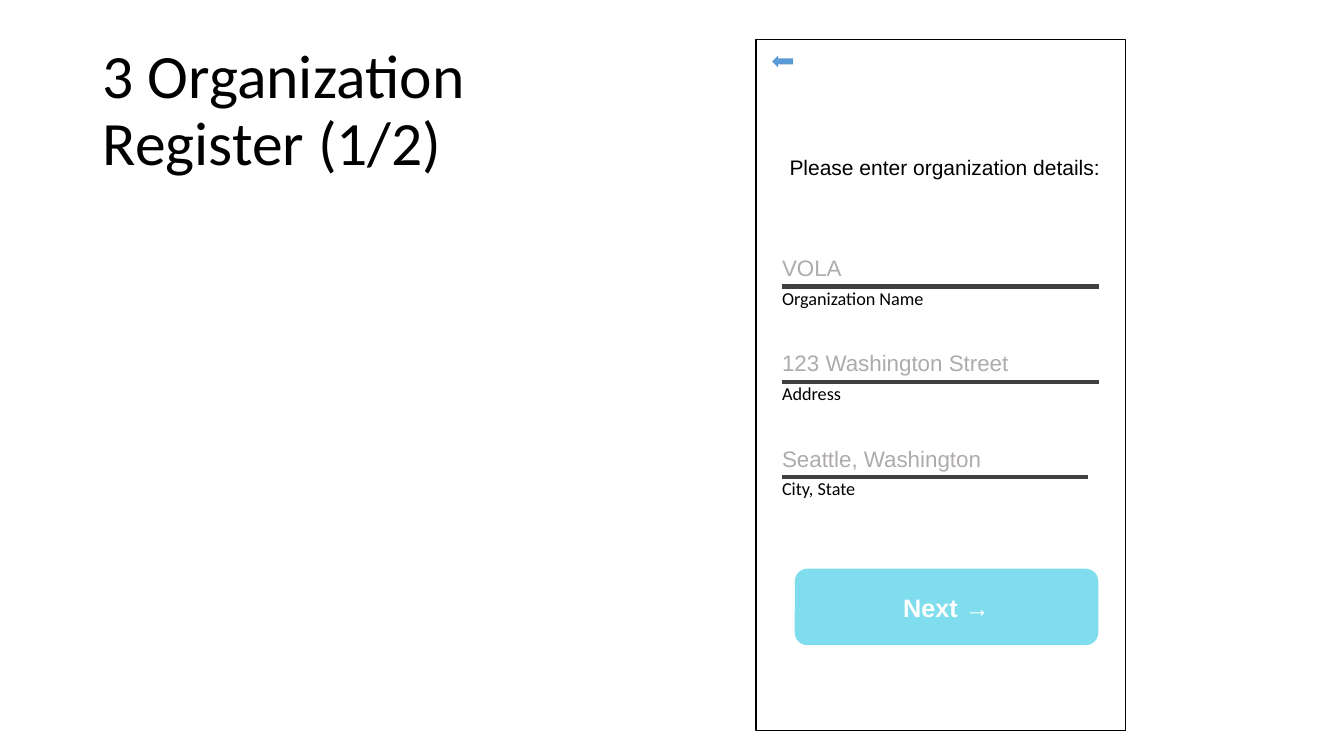
from pptx import Presentation
from pptx.dml.color import RGBColor
from pptx.enum.shapes import MSO_CONNECTOR, MSO_SHAPE
from pptx.enum.text import MSO_ANCHOR, PP_ALIGN
from pptx.oxml.ns import qn
from pptx.util import Cm, Pt
from lxml import etree

COLORS = {
    "text": "000000",
    "hint": "AFABAB",
    "rule": "404040",
    "button": "7FDDED",
    "back": "5B9BD5",
    "white": "FFFFFF",
}
FIELDS = [
    ("VOLA", "Organization Name", 7.98),
    ("123 Washington Street", "Address", 7.98),
    ("Seattle, Washington", "City, State", 7.7),
]
FIELD_LEFT, FIRST_RULE, FIELD_PITCH = 19.71, 7.22, 2.4


def rgb(name):
    return RGBColor.from_string(COLORS[name])


def write(sp, text, size, font="Arial", color="text", bold=False,
          align=PP_ALIGN.LEFT, anchor=MSO_ANCHOR.TOP, wrap=True, spacing=None):
    tf = sp.text_frame
    tf.word_wrap = wrap
    tf.vertical_anchor = anchor
    p = tf.paragraphs[0]
    p.alignment = align
    p.line_spacing = spacing
    r = p.add_run()
    r.text = text
    r.font.size = Pt(size)
    r.font.name = font
    r.font.bold = bold
    r.font.color.rgb = rgb(color)


def add_text(s, x, y, w, h, text, size, **fmt):
    sp = s.shapes.add_textbox(Cm(x), Cm(y), Cm(w), Cm(h))
    write(sp, text, size, **fmt)


def add_box(s, kind, x, y, w, h, fill=None, line=None):
    sp = s.shapes.add_shape(kind, Cm(x), Cm(y), Cm(w), Cm(h))
    sp.shadow.inherit = False
    if fill:
        sp.fill.solid()
        sp.fill.fore_color.rgb = rgb(fill)
    else:
        sp.fill.background()
    if line:
        sp.line.color.rgb = rgb(line)
        sp.line.width = Pt(1)
    else:
        sp.line.fill.background()
    return sp


def add_rule(s, x, y, w):
    c = s.shapes.add_connector(MSO_CONNECTOR.STRAIGHT,
                               Cm(x), Cm(y), Cm(x + w), Cm(y))
    c.line.color.rgb = rgb("rule")
    c.line.width = Pt(3)
    etree.SubElement(c._element.spPr, qn("a:effectLst"))


def add_field(s, y, hint, label, width):
    x = FIELD_LEFT - 0.25
    add_rule(s, FIELD_LEFT, y, width)
    add_text(s, x, y - 0.11, 4.14, 0.81, label, 13, font="Calibri", wrap=False)
    add_text(s, x, y - 0.94, 6.3, 0.94, hint, 16, color="hint", wrap=False)


def main():
    prs = Presentation()
    prs.slide_width, prs.slide_height = Cm(33.87), Cm(19.05)
    s = prs.slides.add_slide(prs.slide_layouts[6])

    add_text(s, 2.34, 0.99, 14.86, 3.68, "3 Organization Register (1/2)", 44,
             font="Calibri", anchor=MSO_ANCHOR.MIDDLE, spacing=0.9)
    button = add_box(s, MSO_SHAPE.ROUNDED_RECTANGLE, 20.03, 14.33, 7.65, 1.93,
                     fill="button")
    write(button, "Next →", 18, color="white", bold=True,
          align=PP_ALIGN.CENTER, anchor=MSO_ANCHOR.MIDDLE)
    add_box(s, MSO_SHAPE.LEFT_ARROW, 19.46, 1.4, 0.53, 0.3, fill="back")
    add_text(s, 19.25, 3.76, 9.12, 0.89, "Please enter organization details:",
             15, align=PP_ALIGN.CENTER)
    for i, field in enumerate(FIELDS):
        add_field(s, FIRST_RULE + i * FIELD_PITCH, *field)
    add_box(s, MSO_SHAPE.RECTANGLE, 19.05, 0.99, 9.32, 17.42, line="text")

    prs.save("out.pptx")


main()
